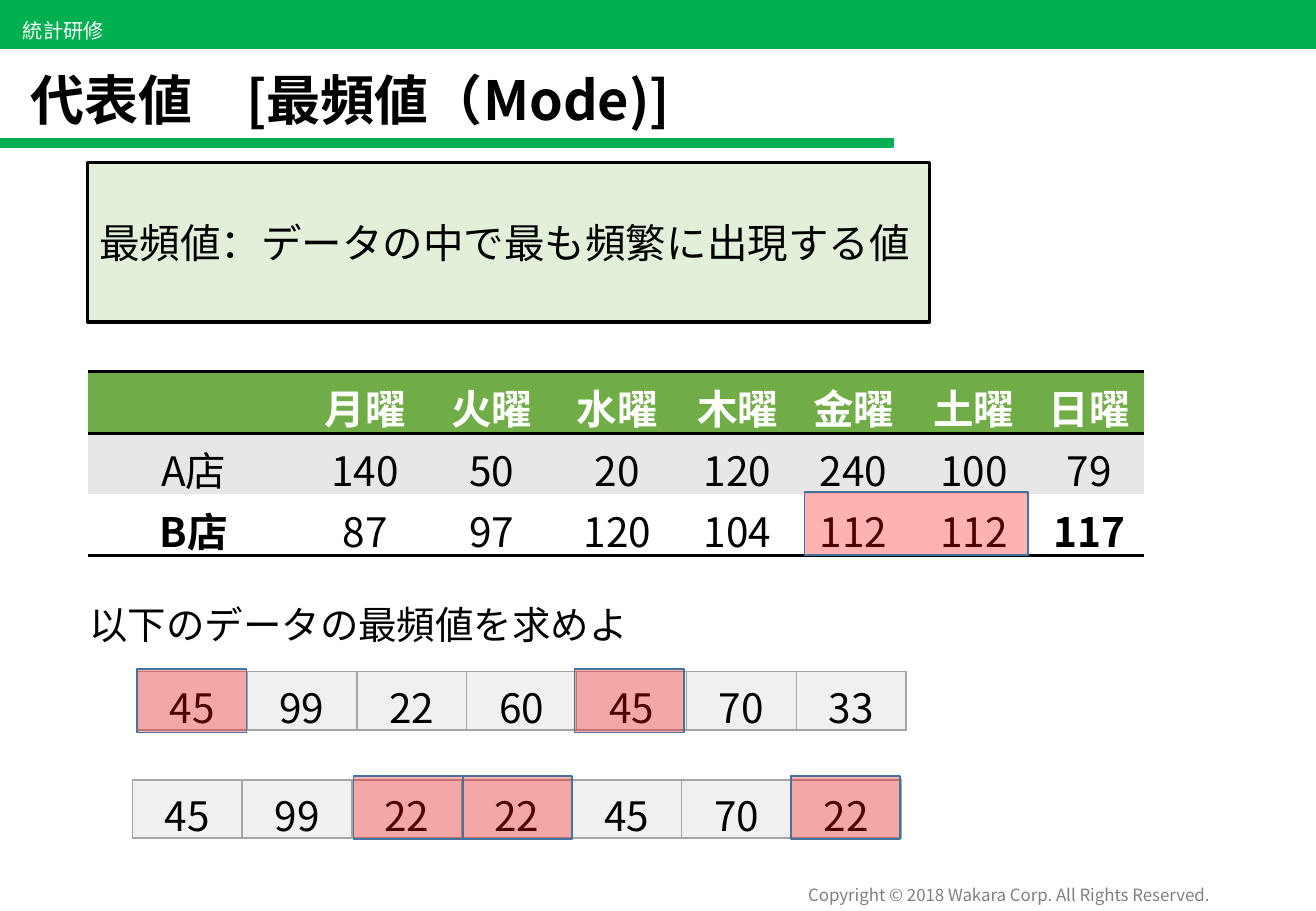
import pptx
import pptx.util
import pptx.dml.color
import pptx.enum.text
import pptx.enum.shapes
import pptx.oxml
import pptx.oxml.ns

Pt = pptx.util.Pt
qn = pptx.oxml.ns.qn
RGB = pptx.dml.color.RGBColor.from_string
ALIGN = pptx.enum.text.PP_ALIGN
ANCHOR = pptx.enum.text.MSO_ANCHOR
RECT = pptx.enum.shapes.MSO_SHAPE.RECTANGLE

theme = {
    "font": "Noto Sans CJK JP", "head font": "Calibri",
    "green": "00B050", "head": "70AD47", "band": "E7E7E7", "pale": "E2F0D9",
    "cell": "F0F0F0", "grid": "A5A5A5", "mark": "FF0000", "edge": "43739E",
    "black": "000000", "white": "FFFFFF", "gray": "808080",
    "title": 32, "body": 24, "task": 22.8, "label": 12, "foot": 10,
}

deck = pptx.Presentation()
deck.slide_width = pptx.util.Inches(10.83)
deck.slide_height = pptx.util.Inches(7.5)
slide = deck.slides.add_slide(deck.slide_layouts[6])
shapes = slide.shapes
wide, high = deck.slide_width / 100, deck.slide_height / 100


def place(x, y, w, h):
    return int(x * wide), int(y * high), int(w * wide), int(h * high)


def write(frame, text, size="body", color="black", bold=False, font="font",
          align=ALIGN.LEFT, anchor=ANCHOR.MIDDLE, wrap=False, space=None):
    frame.word_wrap = wrap
    frame.vertical_anchor = anchor
    para = frame.paragraphs[0]
    para.alignment = align
    if space:
        para.line_spacing = space
    run = para.add_run()
    run.text = text
    run.font.size = Pt(theme[size])
    run.font.bold = bold
    run.font.color.rgb = RGB(theme[color])
    run.font.name = theme[font]
    east = pptx.oxml.parse_xml(
        '<a:ea xmlns:a="http://schemas.openxmlformats.org/drawingml/2006/main"'
        f' typeface="{theme["font"]}"/>')
    run.font._element.find(qn("a:latin")).addnext(east)


bars = [((0, 0, 100, 5.33), "green", "green", 1),
        ((0, 15.2, 67.87, 0.93), "green", "green", 1),
        ((6.65, 17.87, 63.99, 17.47), "pale", "black", 2)]
for spot, fill, edge, width in bars:
    bar = shapes.add_shape(RECT, *place(*spot))
    bar.shadow.inherit = False
    bar.fill.solid()
    bar.fill.fore_color.rgb = RGB(theme[fill])
    bar.line.color.rgb = RGB(theme[edge])
    bar.line.width = Pt(width)
write(bar.text_frame, "最頻値：データの中で最も頻繁に出現する値")

notes = [
    ((57.34, 96.4, 35.46, 3.6), "Copyright © 2018 Wakara Corp. All Rights Reserved.",
     dict(size="foot", color="gray", align=ALIGN.RIGHT)),
    ((0.83, 1.33, 8.13, 4), "統計研修", dict(size="label", color="white")),
    ((1.39, 5.33, 95.66, 9.87), "代表値　[最頻値（Mode)]",
     dict(size="title", bold=True, anchor=ANCHOR.BOTTOM, wrap=True, space=0.9)),
    ((5.88, 65.33, 43.15, 6.4), "以下のデータの最頻値を求めよ",
     dict(size="task", anchor=ANCHOR.TOP)),
]
for spot, text, form in notes:
    write(shapes.add_textbox(*place(*spot)).text_frame, text, **form)

sales = [["", "月曜", "火曜", "水曜", "木曜", "金曜", "土曜", "日曜"],
         ["A店", "140", "50", "20", "120", "240", "100", "79"],
         ["B店", "87", "97", "120", "104", "112", "112", "117"]]
strips = [["45", "99", "22", "60", "45", "70", "33"],
          ["45", "99", "22", "22", "45", "70", "22"]]
days = [16.16, 9.88, 9.33, 9.79, 8.49, 9.14, 9.14, 8.4]
step = 8.35
tables = [(6.65, 40.8, sales, days, [6.8, 5.47, 5.47], True),
          (10.43, 73.73, strips[:1], [step] * 7, [6.13], False),
          (10.06, 85.6, strips[1:], [step] * 7, [6.13], False)]
for x, y, data, cols, rows, main in tables:
    frame = shapes.add_table(len(rows), len(cols), *place(x, y, sum(cols), sum(rows)))
    table = frame.table
    table.first_row = table.horz_banding = False
    table._tbl.tblPr.find(qn("a:tableStyleId")).text = "{2D5ABB26-0587-4C30-8999-92F81FD0307C}"
    for col, share in zip(table.columns, cols):
        col.width = int(share * wide)
    for r, line in enumerate(data):
        table.rows[r].height = int(rows[r] * high)
        for c, text in enumerate(line):
            cell = table.cell(r, c)
            top = main and r == 0
            fill = ("head", "band", "white")[r] if main else "cell"
            cell.fill.solid()
            cell.fill.fore_color.rgb = RGB(theme[fill])
            cell.margin_left = cell.margin_right = pptx.util.Inches(0.08)
            cell.margin_top = cell.margin_bottom = pptx.util.Inches(0.05 if main else 0.04)
            if text:
                write(cell.text_frame, text, bold=top or text in ("B店", "117"),
                      color="white" if top else "black",
                      font="head font" if top else "font",
                      align=ALIGN.CENTER, wrap=True, anchor=ANCHOR.TOP)
            sides = ("TB", "", "B")[r] if main else "LRTB"
            tone, width = ("black", 2) if main else ("grid", 1)
            for i, side in enumerate(sides):
                cell._tc.tcPr.insert(i, pptx.oxml.parse_xml(
                    f'<a:ln{side} xmlns:a="http://schemas.openxmlformats.org/drawingml/2006/main"'
                    f' w="{Pt(width)}"><a:solidFill><a:srgbClr val="{theme[tone]}"/>'
                    f'</a:solidFill></a:ln{side}>'))

pitch = 8.31
marks = [(61.13, 54, 16.99)]
marks += [(10.43 + k * pitch, 73.47, pitch) for k in (0, 4)]
marks += [(10.25 + k * pitch, 85.2, pitch) for k in (2, 3, 6)]
for x, y, w in marks:
    mark = shapes.add_shape(RECT, *place(x, y, w, 6.93))
    mark.shadow.inherit = False
    mark.fill.solid()
    mark.fill.fore_color.rgb = RGB(theme["mark"])
    tint = mark._element.spPr.find(qn("a:solidFill"))[0]
    tint.append(pptx.oxml.parse_xml(
        '<a:alpha xmlns:a="http://schemas.openxmlformats.org/drawingml/2006/main" val="30000"/>'))
    mark.line.color.rgb = RGB(theme["edge"])
    mark.line.width = Pt(1)

deck.save("out.pptx")
